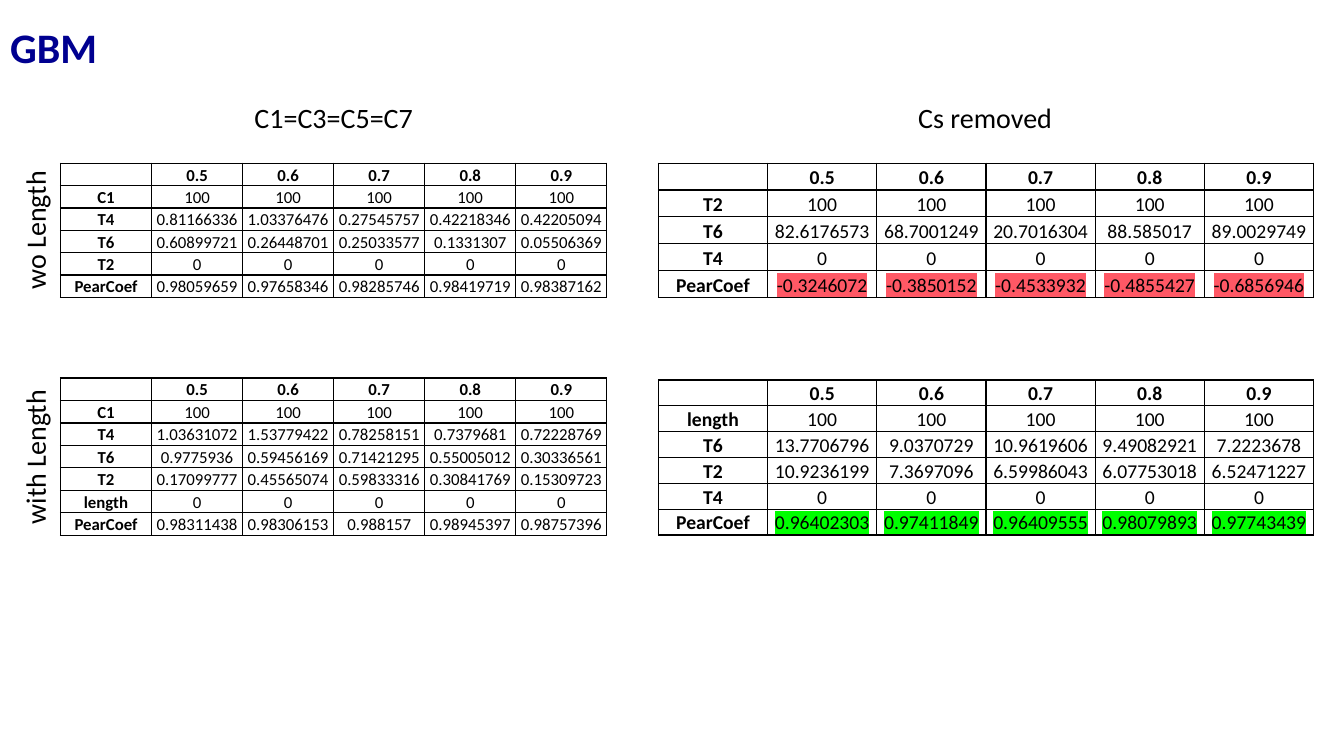
import pptx
import pptx.dml.color
import pptx.enum.text
import pptx.oxml
import pptx.oxml.ns
import pptx.util
from dataclasses import dataclass

Inches, Pt = pptx.util.Inches, pptx.util.Pt
Align, Anchor = pptx.enum.text.PP_ALIGN, pptx.enum.text.MSO_ANCHOR
NS = pptx.oxml.ns.nsdecls("a")


@dataclass
class Theme:
    """Colours, font and type sizes."""
    font: str = "Calibri"
    ink: str = "000000"
    navy: str = "000090"
    red: str = "FF5865"
    green: str = "00FF00"
    title: int = 30
    label: int = 20
    small: int = 12
    large: int = 14


T = Theme()
HEAD = ["", "0.5", "0.6", "0.7", "0.8", "0.9"]
FULL, NONE = ["100"] * 5, ["0"] * 5

# Rows, left, top, width, height, type size, highlight of the last row
TABLES = [
    ([HEAD,
      ["C1", *FULL],
      ["T4", "0.81166336", "1.03376476", "0.27545757", "0.42218346", "0.42205094"],
      ["T6", "0.60899721", "0.26448701", "0.25033577", "0.1331307", "0.05506369"],
      ["T2", *NONE],
      ["PearCoef", "0.98059659", "0.97658346", "0.98285746", "0.98419719", "0.98387162"]],
     0.6, 1.62, 5.42, 1.33, T.small, None),
    ([HEAD,
      ["C1", *FULL],
      ["T4", "1.03631072", "1.53779422", "0.78258151", "0.7379681", "0.72228769"],
      ["T6", "0.9775936", "0.59456169", "0.71421295", "0.55005012", "0.30336561"],
      ["T2", "0.17099777", "0.45565074", "0.59833316", "0.30841769", "0.15309723"],
      ["length", *NONE],
      ["PearCoef", "0.98311438", "0.98306153", "0.988157", "0.98945397", "0.98757396"]],
     0.6, 3.75, 5.42, 1.56, T.small, None),
    ([HEAD,
      ["T2", *FULL],
      ["T6", "82.6176573", "68.7001249", "20.7016304", "88.585017", "89.0029749"],
      ["T4", *NONE],
      ["PearCoef", "-0.3246072", "-0.3850152", "-0.4533932", "-0.4855427", "-0.6856946"]],
     6.53, 1.62, 6.5, 1.33, T.large, T.red),
    ([HEAD,
      ["length", *FULL],
      ["T6", "13.7706796", "9.0370729", "10.9619606", "9.49082921", "7.2223678"],
      ["T2", "10.9236199", "7.3697096", "6.59986043", "6.07753018", "6.52471227"],
      ["T4", *NONE],
      ["PearCoef", "0.96402303", "0.97411849", "0.96409555", "0.98079893", "0.97743439"]],
     6.53, 3.77, 6.5, 1.54, T.large, T.green),
]

# Text, left, top, rotation
LABELS = [
    ("C1=C3=C5=C7", 2.27, 0.99, 0),
    ("Cs removed", 8.73, 0.99, 0),
    ("with Length", -0.66, 4.32, 270),
    ("wo Length", -0.66, 2.07, 270),
]


def style(para, size, color=T.ink, bold=False):
    """Format every run of a paragraph."""
    for run in para.runs:
        font = run.font
        font.name, font.size, font.bold = T.font, Pt(size), bold
        font.color.rgb = pptx.dml.color.RGBColor.from_string(color)


def border(cell):
    """Draw a thin line on all four sides of a cell."""
    props = cell._tc.get_or_add_tcPr()
    for spot, side in enumerate("LRTB"):
        props.insert(spot, pptx.oxml.parse_xml(
            f'<a:ln{side} {NS} w="12700"><a:solidFill><a:srgbClr val="{T.ink}"/>'
            f'</a:solidFill></a:ln{side}>'))


def mark(run, color):
    """Highlight a formatted run."""
    run.font._element.find(pptx.oxml.ns.qn("a:latin")).addprevious(
        pptx.oxml.parse_xml(
            f'<a:highlight {NS}><a:srgbClr val="{color}"/></a:highlight>'))


def fill(cell, text, size, bold):
    """Write and format one table cell."""
    cell.text_frame.text = text
    cell.vertical_anchor = Anchor.BOTTOM
    cell.margin_left = cell.margin_right = cell.margin_top = Inches(0.01)
    cell.margin_bottom = 0
    cell.fill.background()
    border(cell)
    para = cell.text_frame.paragraphs[0]
    para.alignment = Align.CENTER
    style(para, size, bold=bold)
    if not text:
        para._p.append(pptx.oxml.parse_xml(
            f'<a:endParaRPr {NS} sz="{size * 100}"/>'))


def grid(slide, rows, left, top, width, height, size, tint):
    """Add a table with equal rows and columns."""
    count = len(rows)
    table = slide.shapes.add_table(
        count, len(HEAD), Inches(left), Inches(top),
        Inches(width), Inches(height)).table
    table.first_row = table.horz_banding = False
    for r, row in enumerate(rows):
        for c, text in enumerate(row):
            cell = table.cell(r, c)
            fill(cell, text, size, bold=r == 0 or c == 0)
            if tint and r == count - 1 and c > 0:
                mark(cell.text_frame.paragraphs[0].runs[0], tint)


def label(slide, text, left, top, turn):
    """Add a centred heading, turned for the row names."""
    box = slide.shapes.add_textbox(
        Inches(left), Inches(top), Inches(2.08), Inches(0.43))
    box.rotation = turn
    box.text_frame.word_wrap = True
    box.text_frame.text = text
    para = box.text_frame.paragraphs[0]
    para.alignment, para.line_spacing = Align.CENTER, 0.9
    para.space_before = Pt(10)
    style(para, T.label)


def head(slide, text):
    """Place and format the slide title."""
    title = slide.shapes.title
    title.left, title.top = 0, Inches(0.18)
    title.width, title.height = Inches(13.33), Inches(0.63)
    frame = title.text_frame
    frame.text = text
    frame.vertical_anchor = Anchor.MIDDLE
    para = frame.paragraphs[0]
    para.alignment, para.line_spacing = Align.LEFT, 0.9
    style(para, T.title, T.navy, True)


deck = pptx.Presentation()
deck.slide_width, deck.slide_height = Inches(13.33), Inches(7.5)
page = deck.slides.add_slide(deck.slide_layouts[5])
head(page, "GBM")
for item in TABLES:
    grid(page, *item)
for item in LABELS:
    label(page, *item)
deck.save("out.pptx")
